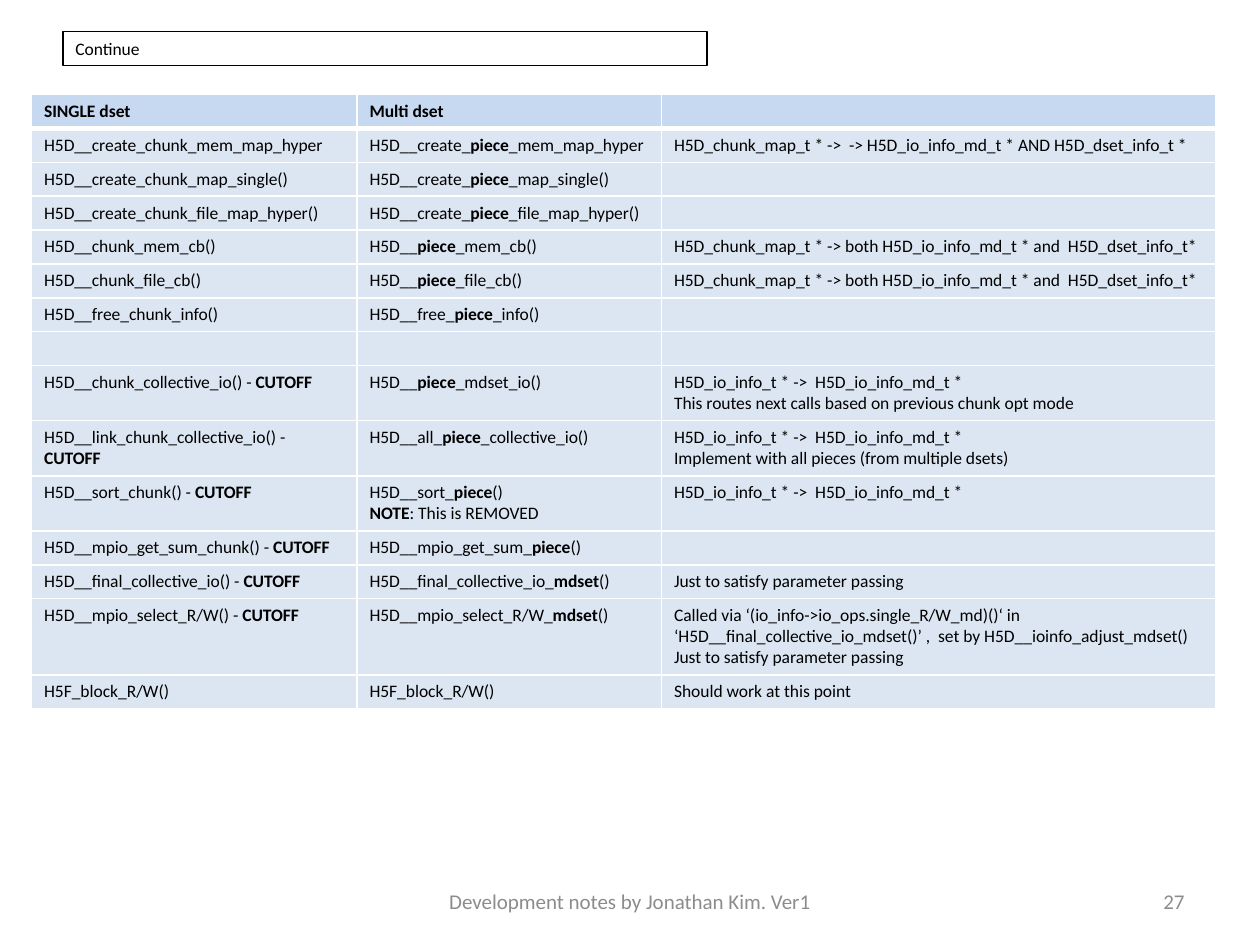
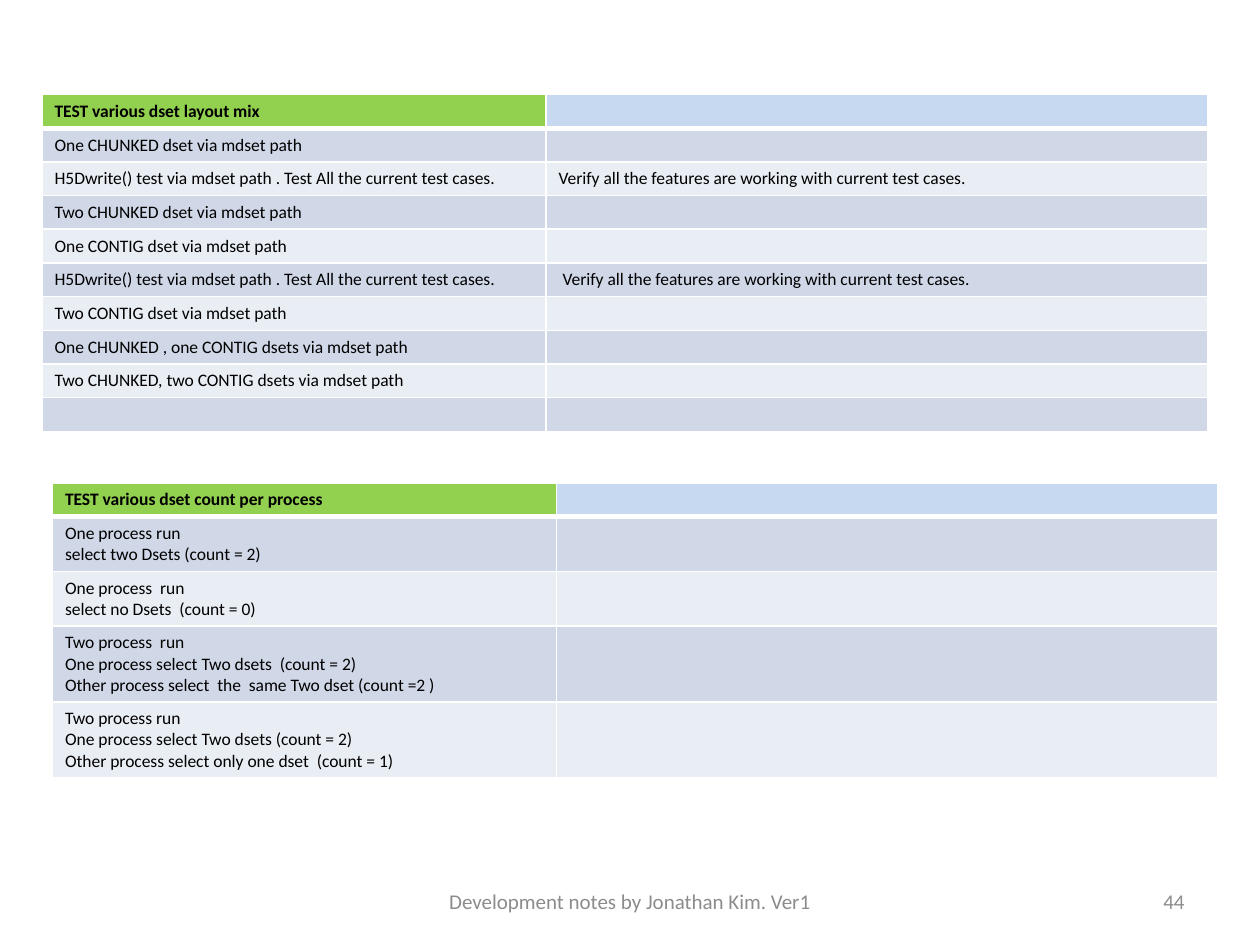
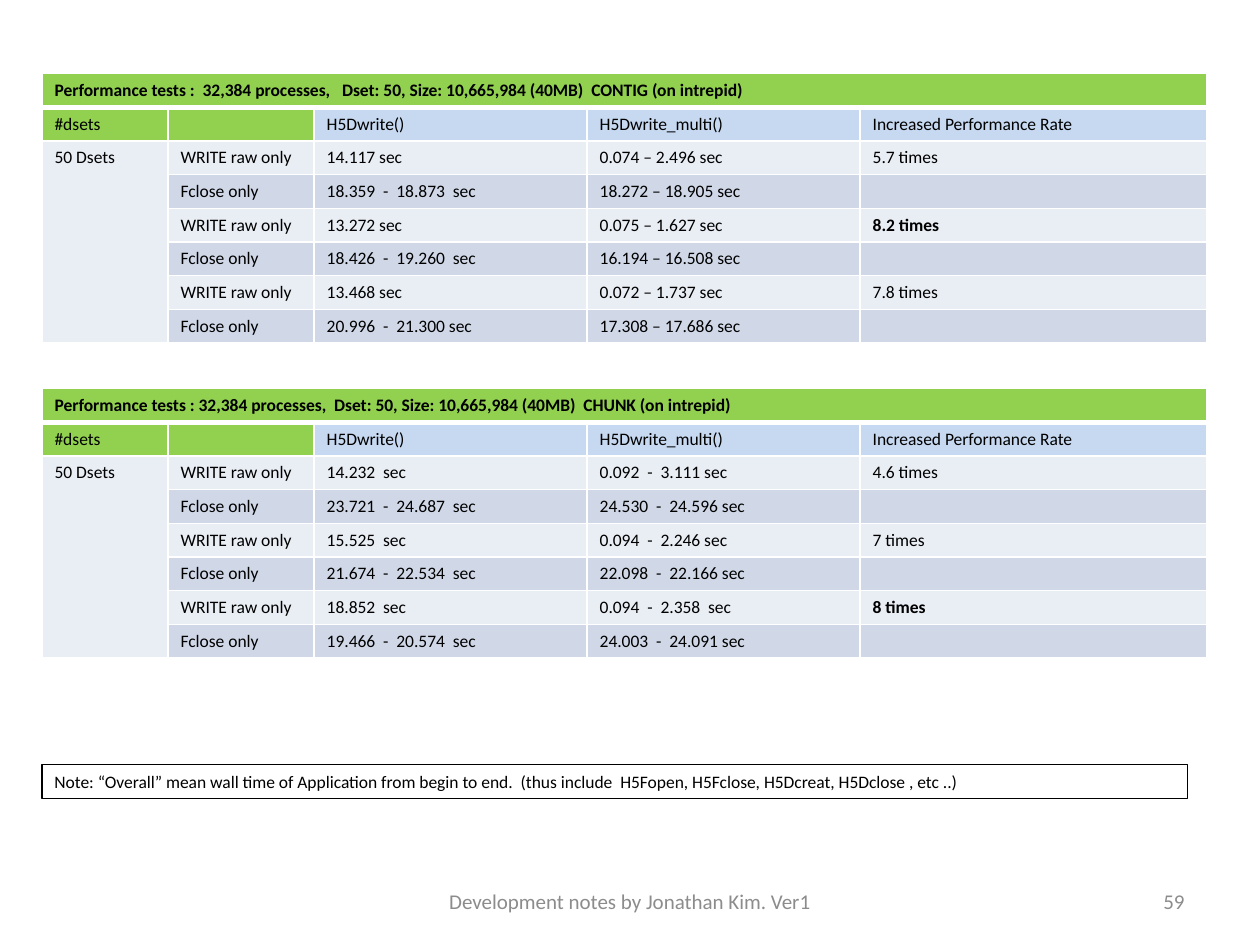
from math import ceil
from lxml.etree import SubElement
from pptx import Presentation
from pptx.dml.color import RGBColor
from pptx.enum.text import MSO_ANCHOR as ANCHOR, MSO_AUTO_SIZE as FIT, PP_ALIGN as ALIGN
from pptx.oxml.ns import qn
from pptx.util import Pt

BLACK = RGBColor(0, 0, 0)
GRAY = RGBColor(0x8C, 0x8C, 0x8C)
GREEN = RGBColor(0x92, 0xD0, 0x50)
HEAD_BLUE = RGBColor(0xC6, 0xD9, 0xF1)
PALE_BLUE = RGBColor(0xDC, 0xE6, 0xF2)
BAND_LIGHT = RGBColor(0xE9, 0xED, 0xF4)
BAND_DARK = RGBColor(0xD0, 0xD8, 0xE8)
FONT = "Calibri"
BANDS = [BAND_LIGHT, BAND_DARK]


def write(tf, text, size=10, color=BLACK, bold=False, align=ALIGN.LEFT):
    for i, line in enumerate(text.split("\n")):
        p = tf.add_paragraph() if i else tf.paragraphs[0]
        p.alignment = align
        for j, part in enumerate(line.split("|")):
            if part:
                r = p.add_run()
                r.text = part
                r.font.name = FONT
                r.font.size = Pt(size)
                r.font.color.rgb = color
                r.font.bold = bold or j % 2 == 1
        if not line:
            SubElement(p._p, qn("a:endParaRPr"), sz=str(size * 100))


def add_grid(s, left, top, widths, rows, heads, bands):
    lines = [max(sum(ceil(len(t) / 100) or 1 for t in text.split("\n")) for text in row)
             for row in rows]
    heights = [7.2 + 12 * n for n in lines]
    table = s.shapes.add_table(len(rows), len(widths), Pt(left), Pt(top),
                               Pt(sum(widths)), Pt(sum(heights))).table
    for column, width in zip(table.columns, widths):
        column.width = Pt(width)
    for i, row in enumerate(rows):
        table.rows[i].height = Pt(heights[i])
        for j, text in enumerate(row):
            cell = table.cell(i, j)
            write(cell.text_frame, text, bold=i == 0)
            tcPr = cell._tc.get_or_add_tcPr()
            for side in "LRTB":
                thick = (i, side) in [(0, "B"), (1, "T")]
                ln = SubElement(tcPr, qn("a:ln" + side), w=str(Pt(3 if thick else 1)))
                SubElement(SubElement(ln, qn("a:solidFill")), qn("a:srgbClr"), val="FFFFFF")
            cell.fill.solid()
            cell.fill.fore_color.rgb = heads[i][j] if i < len(heads) else bands[i % 2]
    return table


prs = Presentation()
prs.slide_width, prs.slide_height = Pt(720), Pt(540)
calls, tests, timings = [prs.slides.add_slide(prs.slide_layouts[6]) for _ in range(3)]

MD_INFO = "H5D_io_info_t * ->  H5D_io_info_md_t *"
BOTH_INFO = "H5D_chunk_map_t * -> both H5D_io_info_md_t * and  H5D_dset_info_t*"
PASSING = "Just to satisfy parameter passing"
call_rows = [
    ["SINGLE dset", "Multi dset", ""],
    ["H5D__create_chunk_mem_map_hyper", "H5D__create_|piece|_mem_map_hyper",
     "H5D_chunk_map_t * ->  -> H5D_io_info_md_t * AND H5D_dset_info_t *"],
    ["H5D__create_chunk_map_single()", "H5D__create_|piece|_map_single()", ""],
    ["H5D__create_chunk_file_map_hyper()", "H5D__create_|piece|_file_map_hyper()", ""],
    ["H5D__chunk_mem_cb()", "H5D__|piece|_mem_cb()", BOTH_INFO],
    ["H5D__chunk_file_cb()", "H5D__|piece|_file_cb()", BOTH_INFO],
    ["H5D__free_chunk_info()", "H5D__free_|piece|_info()", ""],
    ["", "", ""],
    ["H5D__chunk_collective_io() - |CUTOFF|", "H5D__|piece|_mdset_io()",
     MD_INFO + "\nThis routes next calls based on previous chunk opt mode"],
    ["H5D__link_chunk_collective_io() - |CUTOFF|", "H5D__all_|piece|_collective_io()",
     MD_INFO + "\nImplement with all pieces (from multiple dsets)"],
    ["H5D__sort_chunk() - |CUTOFF|", "H5D__sort_|piece|()\n|NOTE|: This is REMOVED", MD_INFO],
    ["H5D__mpio_get_sum_chunk() - |CUTOFF|", "H5D__mpio_get_sum_|piece|()", ""],
    ["H5D__final_collective_io() - |CUTOFF|", "H5D__final_collective_io_|mdset|()", PASSING],
    ["H5D__mpio_select_R/W() - |CUTOFF|", "H5D__mpio_select_R/W_|mdset|()",
     "Called via ‘(io_info->io_ops.single_R/W_md)()‘ in ‘H5D__final_collective_io_mdset()’ ,"
     "  set by H5D__ioinfo_adjust_mdset()\n" + PASSING],
    ["H5F_block_R/W()", "H5F_block_R/W()", "Should work at this point"],
]
add_grid(calls, 18, 54, [186, 174, 316.8], call_rows, [[HEAD_BLUE] * 3], [PALE_BLUE] * 2)

WRITE_TEST = "H5Dwrite() test via mdset path . Test All the current test cases."
VERIFY = "Verify all the features are working with current test cases."
layout_rows = [
    ["TEST various dset layout mix", ""],
    ["One CHUNKED dset via mdset path", ""],
    [WRITE_TEST, VERIFY],
    ["Two CHUNKED dset via mdset path", ""],
    ["One CONTIG dset via mdset path", ""],
    [WRITE_TEST, " " + VERIFY],
    ["Two CONTIG dset via mdset path", ""],
    ["One CHUNKED , one CONTIG dsets via mdset path", ""],
    ["Two CHUNKED, two CONTIG dsets via mdset path", ""],
    ["", ""],
]
count_rows = [
    ["TEST various dset count per process", ""],
    ["One process run\nselect two Dsets (count = 2)", ""],
    ["One process  run\nselect no Dsets  (count = 0)", ""],
    ["Two process  run\nOne process select Two dsets  (count = 2)\n"
     "Other process select  the  same Two dset (count =2 )", ""],
    ["Two process run\nOne process select Two dsets (count = 2)\n"
     "Other process select only one dset  (count = 1)", ""],
]
for left, top, rows in [(24, 54, layout_rows), (30, 276, count_rows)]:
    add_grid(tests, left, top, [288, 378], rows, [[GREEN, HEAD_BLUE]], BANDS)

contig = [
    ["14.117 sec", "0.074 – 2.496 sec", "5.7 times"],
    ["18.359  -  18.873  sec", "18.272 – 18.905 sec", ""],
    ["13.272 sec", "0.075 – 1.627 sec", "|8.2 times|"],
    ["18.426  -  19.260  sec", "16.194 – 16.508 sec", ""],
    ["13.468 sec", "0.072 – 1.737 sec", "7.8 times"],
    ["20.996  -  21.300 sec", "17.308 – 17.686 sec", ""],
]
chunk = [
    ["14.232  sec", "0.092  -  3.111 sec", "4.6 times"],
    ["23.721  -  24.687  sec", "24.530  -  24.596 sec", ""],
    ["15.525  sec", "0.094  -  2.246 sec", "7 times"],
    ["21.674  -  22.534  sec", "22.098  -  22.166 sec", ""],
    ["18.852  sec", "0.094  -  2.358  sec", "|8 times|"],
    ["19.466  -  20.574  sec", "24.003  -  24.091 sec", ""],
]
for top, title, results in [
    (42, "Performance tests :  32,384 processes,   Dset: 50, Size: 10,665,984 (40MB)  "
         "CONTIG (on intrepid)", contig),
    (222, "Performance tests : 32,384 processes,  Dset: 50, Size: 10,665,984 (40MB)  "
          "CHUNK (on intrepid)", chunk),
]:
    rows = [[title, "", "", "", ""],
            ["#dsets", "", "H5Dwrite()", "H5Dwrite_multi()", "Increased Performance Rate"]]
    for i, result in enumerate(results):
        rows.append(["" if i else "50 Dsets", ["WRITE raw only", "Fclose only"][i % 2]] + result)
    heads = [[GREEN] * 5, [GREEN] * 2 + [HEAD_BLUE] * 3]
    table = add_grid(timings, 24, top, [72, 83.5, 156, 156, 198], rows, heads, BANDS)
    table.cell(0, 0).merge(table.cell(0, 4))
    table.cell(2, 0).merge(table.cell(7, 0))

for s, left, top, width, text in [
    (calls, 36, 18, 368, "Continue"),
    (timings, 24, 437, 654.5,
     "Note: “Overall” mean wall time of Application from begin to end.  "
     "(thus include  H5Fopen, H5Fclose, H5Dcreat, H5Dclose , etc ..)"),
]:
    box = s.shapes.add_textbox(Pt(left), Pt(top), Pt(width), Pt(19.4))
    box.line.color.rgb = BLACK
    box.line.width = Pt(0.75)
    tf = box.text_frame
    tf.word_wrap = True
    tf.auto_size = FIT.SHAPE_TO_FIT_TEXT
    write(tf, text)

for s, number in [(calls, "27"), (tests, "44"), (timings, "59")]:
    for left, width, text, align in [
        (246, 228, "Development notes by Jonathan Kim. Ver1", ALIGN.CENTER),
        (516, 168, number, ALIGN.RIGHT),
    ]:
        tf = s.shapes.add_textbox(Pt(left), Pt(500.5), Pt(width), Pt(28.75)).text_frame
        tf.word_wrap = True
        tf.vertical_anchor = ANCHOR.MIDDLE
        write(tf, text, 12, GRAY, align=align)

prs.save("out.pptx")
